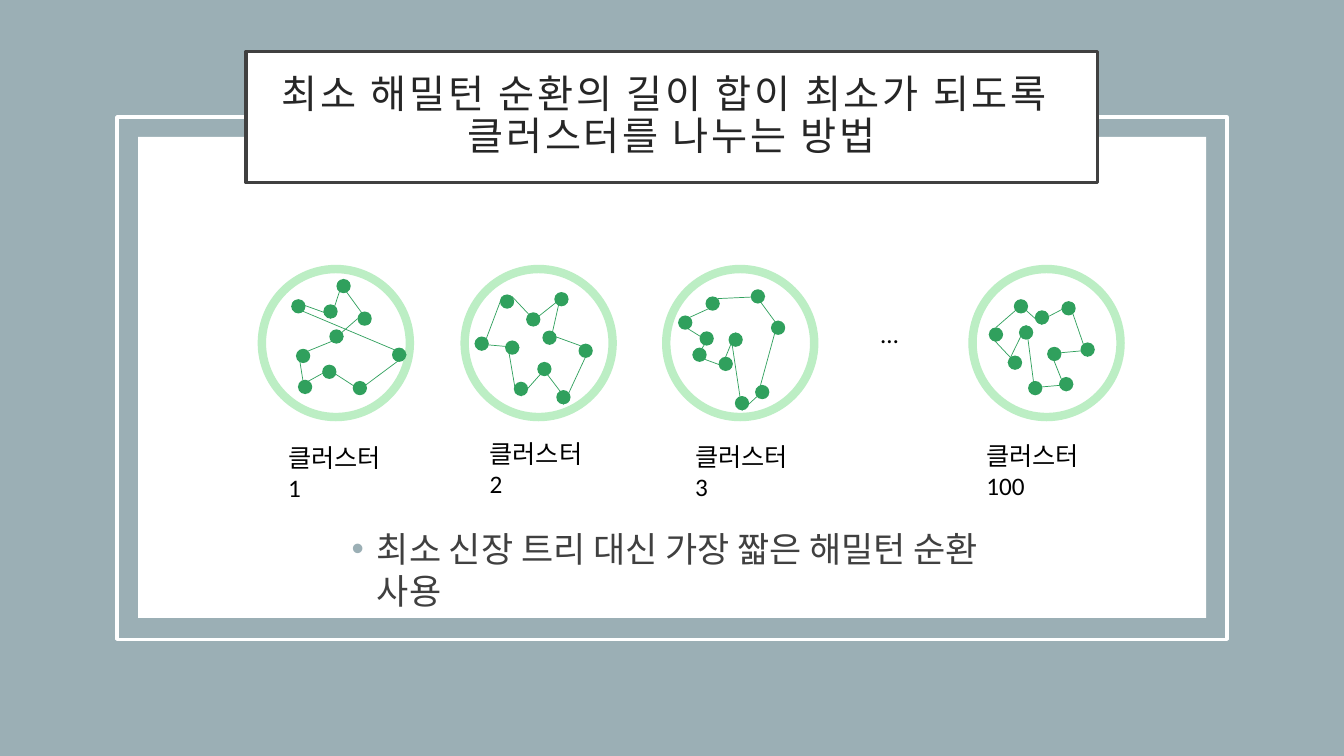
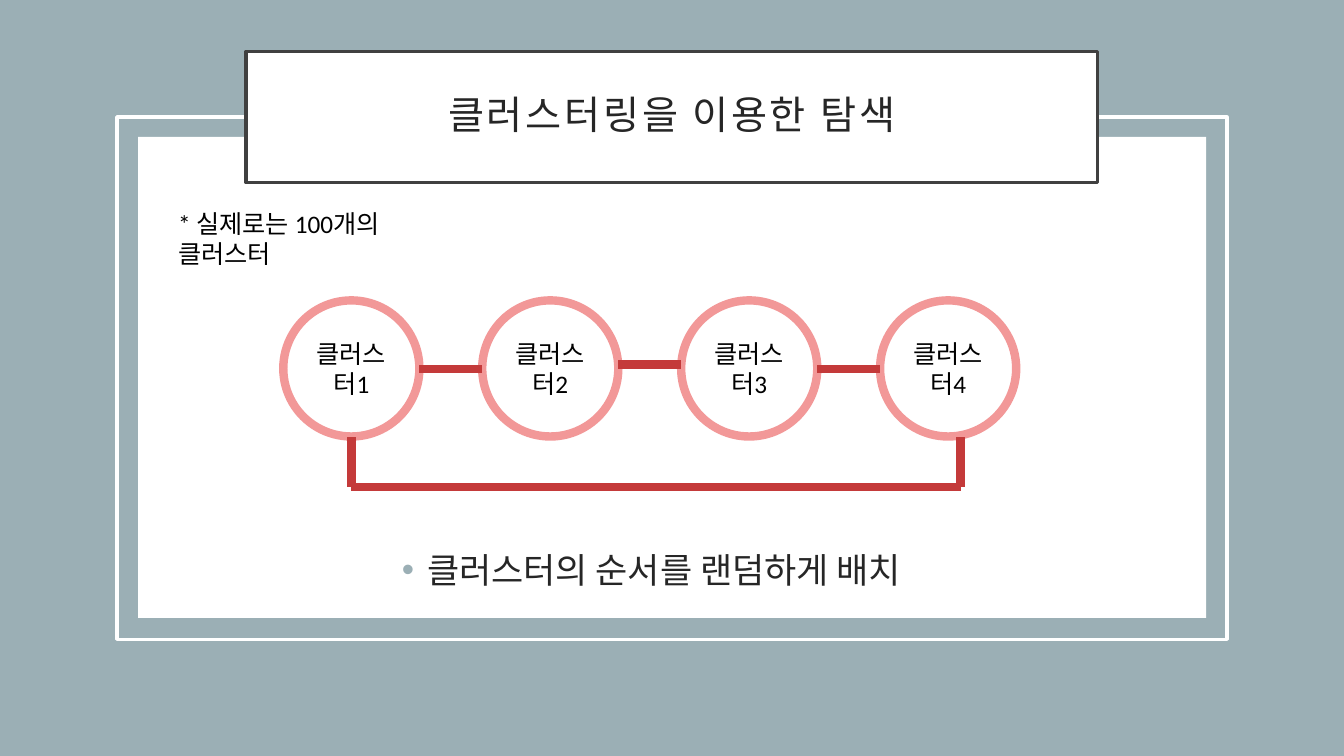
from dataclasses import dataclass

from lxml import etree
from pptx import Presentation
from pptx.dml.color import RGBColor
from pptx.enum.shapes import MSO_CONNECTOR, MSO_SHAPE
from pptx.enum.text import MSO_ANCHOR, MSO_AUTO_SIZE, PP_ALIGN
from pptx.oxml.ns import qn
from pptx.util import Cm, Pt

STRAIGHT = MSO_CONNECTOR.STRAIGHT
RECTANGLE = MSO_SHAPE.RECTANGLE
OVAL = MSO_SHAPE.OVAL
MIDDLE = MSO_ANCHOR.MIDDLE
CENTER = PP_ALIGN.CENTER
NO_AUTOFIT = MSO_AUTO_SIZE.NONE
TITLE_ONLY = 5


@dataclass(frozen=True)
class Theme:
    font: str = "Calibri"
    backdrop: str = "9BAFB5"
    white: str = "FFFFFF"
    black: str = "000000"
    title_line: str = "404040"
    title_text: str = "262626"
    body_text: str = "404040"
    green: str = "30A05D"
    pale_green: str = "BCEEC4"
    red: str = "C43A3A"
    pale_red: str = "F29898"
    title_size: float = 28
    body_size: float = 25
    label_size: float = 18
    frame_width: float = 2.5
    ring_width: float = 6
    tour_width: float = 0.5


@dataclass(frozen=True)
class Box:
    left: float
    top: float
    width: float
    height: float

    def lengths(self):
        return Cm(self.left), Cm(self.top), Cm(self.width), Cm(self.height)

    def inner(self, left, top, width, height):
        return Box(self.left + left, self.top + top, width, height)


@dataclass(frozen=True)
class Cluster:
    name: str
    left: float
    label: Box
    dots: tuple
    tour: str


THEME = Theme()
PANEL = Box(3.48, 3.45, 26.92, 12.12)
OUTLINE = Box(2.95, 2.95, 27.97, 13.16)
TITLE = Box(6.2, 1.3, 21.46, 3.3)
RING_TOP, RING_SIZE, DOT_SIZE = 6.78, 3.73, 0.36

SITES = {
    "n": (0.5, 0), "ne": (0.85, 0.15), "e": (1, 0.5), "se": (0.85, 0.85),
    "s": (0.5, 1), "sw": (0.15, 0.85), "w": (0, 0.5), "nw": (0.15, 0.15),
}

CLUSTERS = (
    Cluster(
        "클러스터 1", 6.6, Box(0.41, 4.24, 2.92, 1.02),
        ((0.74, 0.76), (1.7, 1.52), (0.86, 2.01), (1.88, 0.25), (1.55, 0.89),
         (1.52, 2.41), (0.91, 2.79), (2.41, 1.07), (2.29, 2.82), (3.28, 1.98)),
        "0nw-4se 4s-3n 3nw-7se 7w-1sw 2w-1e 2nw-6s 6w-5ne 5nw-8se 8sw-9e 0w-9e",
    ),
    Cluster(
        "클러스터 2", 11.71, Box(0.38, 4.14, 2.92, 1.02),
        ((1.02, 1.8), (1.55, 1.09), (0.25, 1.7), (2.26, 0.58), (0.89, 0.64),
         (1.83, 2.34), (1.24, 2.84), (1.96, 1.55), (2.31, 3.05), (2.87, 1.88)),
        "4ne-1se 1sw-3ne 3n-7s 7nw-9nw 9ne-8s 5nw-8se 6s-5ne 0nw-6sw 2w-0e 4nw-2s",
    ),
    Cluster(
        "클러스터 3", 16.79, Box(0.48, 4.22, 2.92, 1.02),
        ((0.3, 1.17), (1.57, 1.6), (0.84, 1.57), (2.13, 0.51), (0.99, 0.69),
         (1.32, 2.21), (0.66, 1.98), (2.64, 1.3), (1.73, 3.2), (2.24, 2.92)),
        "4ne-3e 3nw-7se 0w-4e 0w-2se 6sw-2ne 6w-5se 5sw-1n 1nw-8s 8s-9ne 9sw-7n",
    ),
    Cluster(
        "클러스터 100", 24.51, Box(0.1, 4.19, 3.56, 1.02),
        ((0.41, 1.47), (1.17, 1.42), (0.89, 2.18), (1.57, 1.04), (1.04, 0.76),
         (2.18, 2.72), (1.4, 2.82), (2.24, 0.81), (1.88, 1.96), (2.72, 1.85)),
        "4nw-3s 3sw-7ne 7n-9s 8w-9e 8nw-5s 6w-5e 6s-1n 2w-1n 0w-2se 0n-4ne",
    ),
)


def rgb(color):
    return RGBColor.from_string(color)


def paint(shape, fill=None, line=None, width=0):
    if fill:
        shape.fill.solid()
        shape.fill.fore_color.rgb = rgb(fill)
    else:
        shape.fill.background()
    if line:
        shape.line.color.rgb = rgb(line)
        shape.line.width = Pt(width)
    else:
        shape.line.fill.background()


def add_form(page, kind, box, fill=None, line=None, width=0):
    shape = page.shapes.add_shape(kind, *box.lengths())
    shape.shadow.inherit = False
    paint(shape, fill, line, width)
    return shape


def add_line(page, start, end, color, width):
    points = [Cm(value) for value in (*start, *end)]
    line = page.shapes.add_connector(STRAIGHT, *points)
    line.line.color.rgb = rgb(color)
    line.line.width = Pt(width)
    properties = line._element.find(qn("p:spPr"))
    etree.SubElement(properties, qn("a:effectLst"))


def write(shape, text, size, color):
    frame = shape.text_frame
    frame.word_wrap = True
    para = frame.paragraphs[0]
    para.text = text
    for span in para.runs:
        span.font.name = THEME.font
        span.font.size = Pt(size)
        span.font.color.rgb = rgb(color)
    return para


def add_text(page, box, text, size=THEME.label_size, color=THEME.black):
    shape = page.shapes.add_textbox(*box.lengths())
    return write(shape, text, size, color)


def add_bullet(page, box, text, color):
    para = add_text(page, box, text, THEME.body_size, color)
    properties = para._p.get_or_add_pPr()
    properties.set("marL", str(Cm(0.64)))
    properties.set("indent", str(-Cm(0.64)))
    bullet_color = etree.SubElement(properties, qn("a:buClr"))
    etree.SubElement(bullet_color, qn("a:srgbClr"), val=THEME.backdrop)
    etree.SubElement(properties, qn("a:buFont"), typeface="Arial")
    etree.SubElement(properties, qn("a:buChar"), char="•")


def add_page(deck, text):
    page = deck.slides.add_slide(deck.slide_layouts[TITLE_ONLY])
    add_form(page, RECTANGLE, PANEL, fill=THEME.white)
    add_form(page, RECTANGLE, OUTLINE, line=THEME.white, width=THEME.frame_width)
    title = page.shapes.title
    page.shapes._spTree.append(title._element)
    title.left, title.top, title.width, title.height = TITLE.lengths()
    paint(title, THEME.white, THEME.title_line, THEME.frame_width)
    para = write(title, text, THEME.title_size, THEME.title_text)
    para.alignment = CENTER
    para.line_spacing = 0.9
    for span in para.runs:
        span.font._element.set("spc", "200")
    frame = title.text_frame
    frame.auto_size = NO_AUTOFIT
    frame.vertical_anchor = MIDDLE
    frame.margin_left = frame.margin_right = Cm(0.5)
    frame.margin_top = frame.margin_bottom = Cm(0.5)
    return page


def draw_cluster(page, box, cluster):
    add_form(page, OVAL, box, line=THEME.pale_green, width=THEME.ring_width)
    for left, top in cluster.dots:
        dot = box.inner(left, top, DOT_SIZE, DOT_SIZE)
        add_form(page, OVAL, dot, fill=THEME.green)

    def site(code):
        left, top = cluster.dots[int(code[0])]
        across, down = SITES[code[1:]]
        return (box.left + left + across * DOT_SIZE,
                box.top + top + down * DOT_SIZE)

    for edge in cluster.tour.split():
        start, end = edge.split("-")
        add_line(page, site(start), site(end), THEME.green, THEME.tour_width)
    label = cluster.label
    add_text(page, box.inner(label.left, label.top, label.width, label.height),
             cluster.name)


def draw_chain(page, box, names):
    size = box.height
    step = (box.width - size) / (len(names) - 1)
    for index, name in enumerate(names):
        ring_box = box.inner(index * step, 0, size, size)
        ring = add_form(page, OVAL, ring_box, line=THEME.pale_red,
                        width=THEME.ring_width)
        ring.text_frame.vertical_anchor = MIDDLE
        write(ring, name, THEME.label_size, THEME.black).alignment = CENTER
    lines = []
    for index, drop in enumerate((1.73, 1.62, 1.73)):
        left = box.left + index * step + size
        height = box.top + drop
        lines.append(((left, height), (left + step - size, height)))
    bottom = box.top + size
    floor = bottom + 1.27
    first = box.left + size / 2
    last = box.left + box.width - 1.4
    lines += [((first, floor), (last, floor)),
              ((first, floor), (first, bottom)),
              ((last, floor), (last, bottom))]
    for start, end in lines:
        add_line(page, start, end, THEME.red, THEME.ring_width)


def build_cycle_page(deck):
    page = add_page(
        deck, "최소 해밀턴 순환의 길이 합이 최소가 되도록 \n클러스터를 나누는 방법")
    for cluster in CLUSTERS:
        box = Box(cluster.left, RING_TOP, RING_SIZE, RING_SIZE)
        draw_cluster(page, box, cluster)
    add_text(page, Box(21.95, 7.9, 1.14, 1.02), "…")
    add_bullet(page, Box(8.61, 13.16, 17.15, 1.9),
               "최소 신장 트리 대신 가장 짧은 해밀턴 순환 사용", THEME.body_text)


def build_search_page(deck):
    page = add_page(deck, "클러스터링을 이용한 탐색")
    names = [f"클러스터{number}" for number in range(1, 5)]
    draw_chain(page, Box(7.14, 7.57, 18.47, 3.43), names)
    add_bullet(page, Box(9.88, 13.69, 20.98, 1.3),
               "클러스터의 순서를 랜덤하게 배치", THEME.title_text)
    add_text(page, Box(4.24, 5.13, 7.19, 1.02), "* 실제로는 100개의 클러스터")


def main():
    deck = Presentation()
    deck.slide_width, deck.slide_height = Cm(33.87), Cm(19.05)
    backdrop = deck.slide_master.background.fill
    backdrop.solid()
    backdrop.fore_color.rgb = rgb(THEME.backdrop)
    build_cycle_page(deck)
    build_search_page(deck)
    deck.save("out.pptx")


if __name__ == "__main__":
    main()
